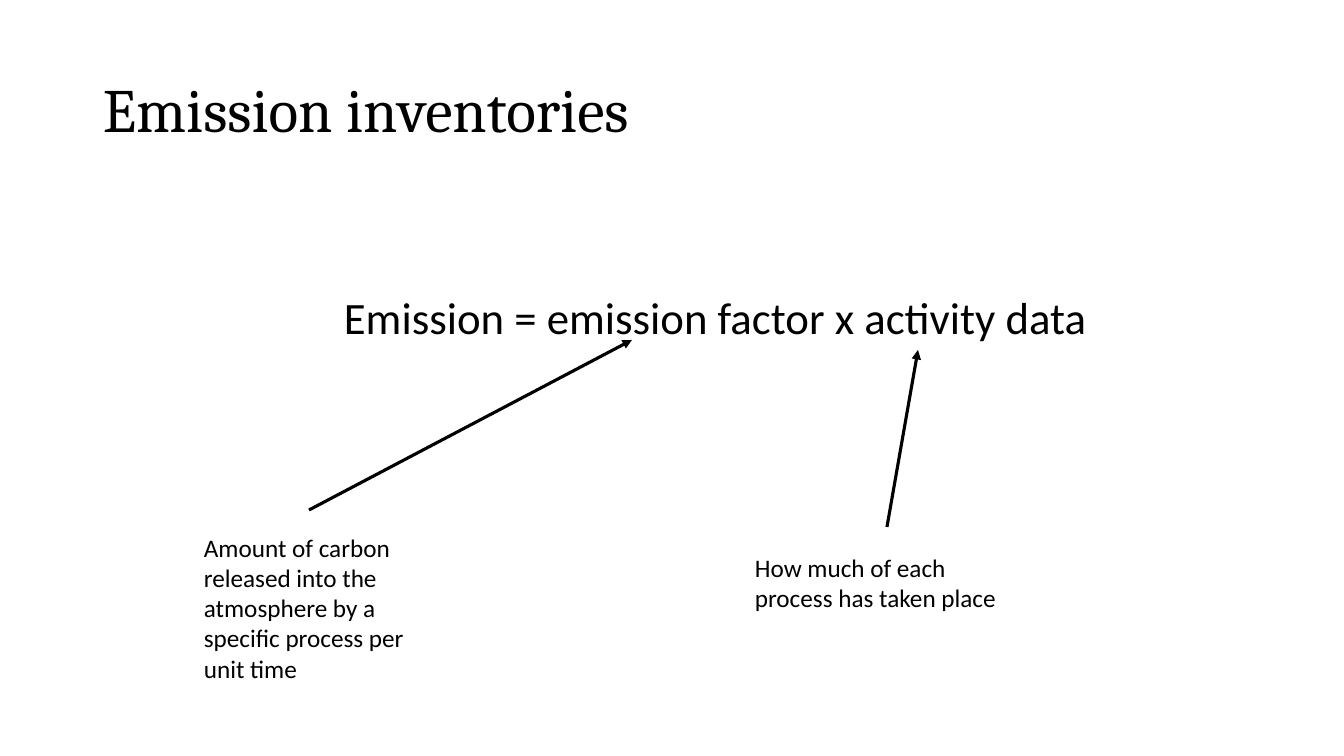
from lxml import etree
from pptx import Presentation
from pptx import util as u
from pptx.dml.color import RGBColor
from pptx.enum import shapes, text
from pptx.oxml import ns

EMU_PER_PX = 914400 / 100.8
BLACK = RGBColor(0, 0, 0)


def px(length):
    return u.Emu(round(length * EMU_PER_PX))


def add_text(slide, box, words, size, font="Calibri", wrap=True):
    label = slide.shapes.add_textbox(*map(px, box))
    frame = label.text_frame
    frame.text = words
    frame.word_wrap = wrap
    frame.auto_size = text.MSO_AUTO_SIZE.SHAPE_TO_FIT_TEXT
    run = frame.paragraphs[0].runs[0]
    run.font.name = font
    run.font.size = u.Pt(size)
    run.font.color.rgb = BLACK
    return frame


def add_title(slide, box, words):
    frame = add_text(slide, box, words, 44, "Cambria")
    frame.auto_size = text.MSO_AUTO_SIZE.NONE
    frame.vertical_anchor = text.MSO_ANCHOR.MIDDLE
    frame.paragraphs[0].line_spacing = 0.9


def add_arrow(slide, start, end):
    arrow = slide.shapes.add_connector(
        shapes.MSO_CONNECTOR.STRAIGHT, *map(px, start + end))
    arrow.line.color.rgb = BLACK
    arrow.line.width = u.Pt(2.25)
    outline = arrow.line._get_or_add_ln()
    etree.SubElement(outline, ns.qn("a:tailEnd"), type="triangle")
    etree.SubElement(arrow._element.spPr, ns.qn("a:effectLst"))


def main():
    deck = Presentation()
    deck.slide_width, deck.slide_height = px(1344), px(756)
    slide = deck.slides.add_slide(deck.slide_layouts[6])

    add_title(slide, (93, 40, 1159, 146), "Emission inventories")
    add_text(slide, (334, 285, 771, 65),
             "Emission = emission factor x activity data", 32, wrap=False)
    add_arrow(slide, (309, 510), (632, 340))
    add_text(slide, (194, 527, 232, 163),
             "Amount of carbon released into the atmosphere "
             "by a specific process per unit time", 18)
    add_arrow(slide, (887, 527), (918, 350))
    add_text(slide, (745, 547, 287, 72),
             "How much of each process has taken place", 18)

    deck.save("out.pptx")


if __name__ == "__main__":
    main()
